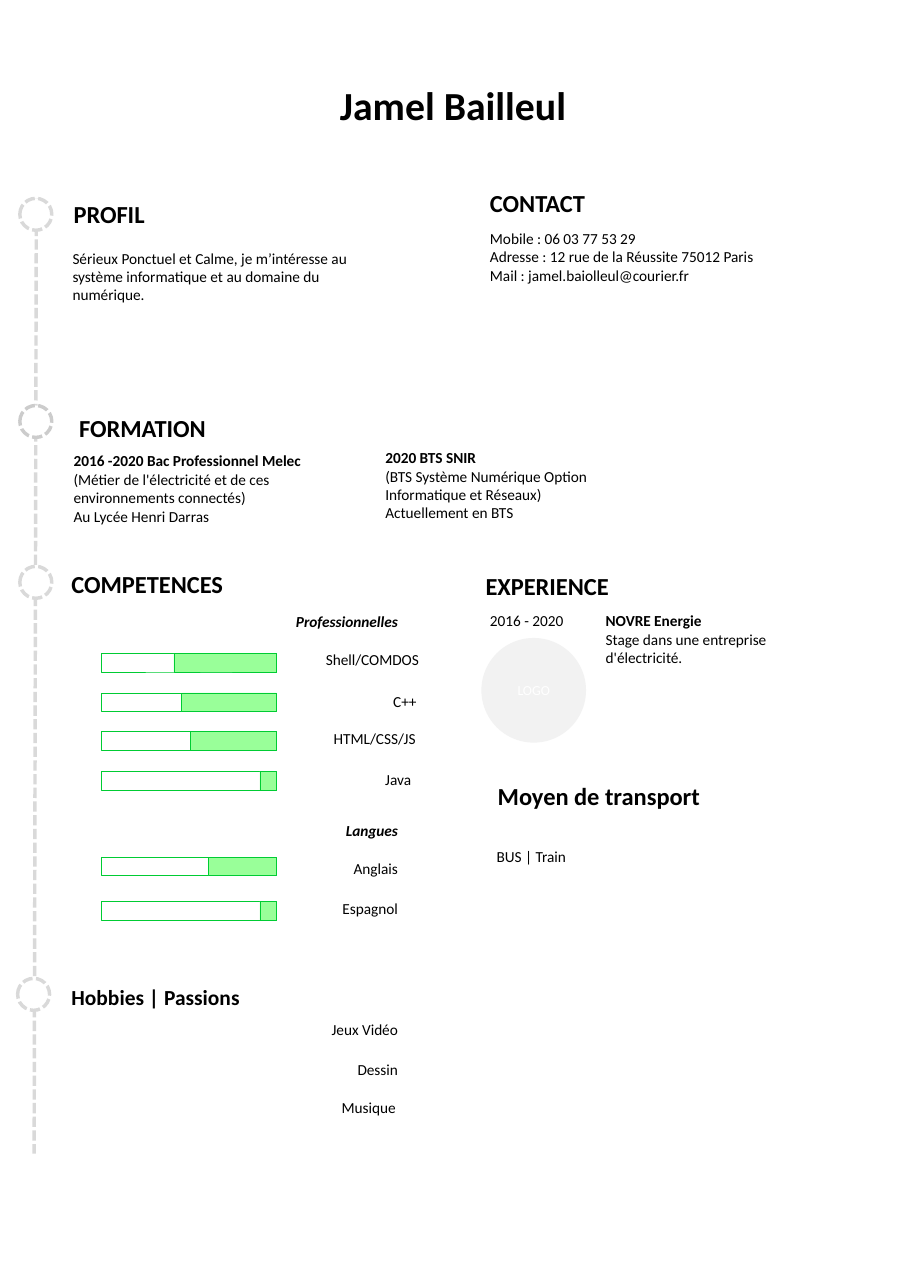
from pptx import Presentation
from pptx.dml.color import RGBColor
from pptx.enum.dml import MSO_LINE
from pptx.enum.shapes import MSO_CONNECTOR, MSO_SHAPE
from pptx.enum.text import MSO_ANCHOR, MSO_AUTO_SIZE, PP_ALIGN as AL
from pptx.oxml.ns import qn
from pptx.util import Inches, Pt
from lxml import etree

COLORS = {"text": "000000", "white": "FFFFFF", "rail": "D9D9D9", "ring": "CCCCCC",
          "badge": "F2F2F2", "bar": "99FF99", "edge": "00CC33"}


def rgb(name):
    return RGBColor.from_string(COLORS[name])


class Resume:
    font = "Calibri"
    small, body, heading = 9, 10, 16

    def __init__(self, slide):
        self.s = slide

    def text(self, x, y, w, h, lines, size=body, bold=False, italic=False,
             align=AL.LEFT, lead=False):
        """Text box; lead makes only the first paragraph bold."""
        sp = self.s.shapes.add_textbox(Inches(x), Inches(y), Inches(w), Inches(h))
        tf = sp.text_frame
        tf.text = "\n".join(lines)
        tf.word_wrap = True
        tf.auto_size = MSO_AUTO_SIZE.SHAPE_TO_FIT_TEXT
        for i, p in enumerate(tf.paragraphs):
            p.alignment = align
            for r in p.runs:
                self.style(r, size, "text", bold or (lead and i == 0), italic)
        return sp

    def style(self, r, size, color, bold=False, italic=False):
        r.font.name, r.font.size = self.font, Pt(size)
        r.font.bold, r.font.italic = bold, italic
        r.font.color.rgb = rgb(color)

    def title(self, x, y, w, h, name):
        tf = self.text(x, y, w, h, [name], 26, bold=True, align=AL.CENTER).text_frame
        tf.auto_size = MSO_AUTO_SIZE.NONE
        tf.vertical_anchor = MSO_ANCHOR.MIDDLE
        tf.paragraphs[0].line_spacing = Pt(60)

    def section(self, x, y, name):
        self.text(x, y, 2.4, 0.37, [name], self.heading, bold=True)

    def label(self, right, y, name, w=1.22, **style):
        self.text(right - w, y, w, 0.27, [name], align=AL.RIGHT, **style)

    def shape(self, kind, x, y, w, h, fill=None, line=None, width=0.5):
        sp = self.s.shapes.add_shape(kind, Inches(x), Inches(y), Inches(w), Inches(h))
        sp.shadow.inherit = False
        if fill:
            sp.fill.solid()
            sp.fill.fore_color.rgb = rgb(fill)
        else:
            sp.fill.background()
        if line:
            sp.line.color.rgb = rgb(line)
            sp.line.width = Pt(width)
        else:
            sp.line.fill.background()
        return sp

    def bar(self, y, level):
        left, width, height = 0.92, 1.59, 0.17
        self.shape(MSO_SHAPE.RECTANGLE, left, y, width, height, line="edge")
        self.shape(MSO_SHAPE.RECTANGLE, left + width - level, y, level, height, "bar", "edge")

    def ring(self, x, y, color):
        sp = self.shape(MSO_SHAPE.OVAL, x, y, 0.29, 0.29, "white", color, 2.25)
        sp.line.dash_style = MSO_LINE.SQUARE_DOT

    def rail(self, x1, y1, x2, y2):
        c = self.s.shapes.add_connector(MSO_CONNECTOR.STRAIGHT, Inches(x1), Inches(y1),
                                        Inches(x2), Inches(y2))
        c.line.color.rgb = rgb("rail")
        c.line.width = Pt(2.25)
        c.line.dash_style = MSO_LINE.SQUARE_DOT
        etree.SubElement(c._element.spPr, qn("a:effectLst"))

    def badge(self, x, y, size, name):
        sp = self.shape(MSO_SHAPE.OVAL, x, y, size, size, "badge")
        tf = sp.text_frame
        tf.text = name
        tf.vertical_anchor = MSO_ANCHOR.MIDDLE
        p = tf.paragraphs[0]
        p.alignment = AL.CENTER
        self.style(p.runs[0], self.small, "white")


def main():
    prs = Presentation()
    prs.slide_width, prs.slide_height = Inches(8.27), Inches(11.69)
    cv = Resume(prs.slides.add_slide(prs.slide_layouts[6]))

    # Timeline
    cv.rail(0.33, 1.8, 0.31, 10.47)
    for x, y, color in [(0.18, 1.8, "rail"), (0.18, 3.68, "ring"),
                        (0.18, 5.14, "rail"), (0.16, 8.88, "rail")]:
        cv.ring(x, y, color)

    # Section headings
    for x, y, name in [(0.57, 1.76, "PROFIL"), (4.35, 1.66, "CONTACT"),
                       (0.62, 3.7, "FORMATION"), (0.55, 5.12, "COMPETENCES"),
                       (4.31, 5.13, "EXPERIENCE"), (4.42, 7.04, "Moyen de transport")]:
        cv.section(x, y, name)

    # Name, profile and contact
    cv.title(0.33, 0.39, 7.57, 0.72, "Jamel Bailleul")
    cv.text(0.56, 2.21, 2.99, 0.6, ["Sérieux Ponctuel et Calme, je m’intéresse au système "
                                    "informatique et au domaine du numérique."])
    cv.text(4.35, 2.03, 3.16, 0.6, ["Mobile : 06 03 77 53 29",
                                    "Adresse : 12 rue de la Réussite 75012 Paris",
                                    "Mail : jamel.baiolleul@courier.fr"])

    # Education
    cv.text(0.57, 4.05, 2.74, 0.77, ["2016 -2020 Bac Professionnel Melec",
                                     "(Métier de l'électricité et de ces environnements connectés)",
                                     "Au Lycée Henri Darras"], lead=True)
    cv.text(3.4, 4.02, 2.74, 0.77, ["2020 BTS SNIR",
                                    "(BTS Système Numérique Option Informatique et Réseaux)",
                                    "Actuellement en BTS"], lead=True)

    # Skills: label, label right edge, label top, bar top, bar level
    for y, name in [(5.51, "Professionnelles"), (7.4, "Langues")]:
        cv.label(3.71, y, name, w=3.12, bold=True, italic=True)
    for name, right, y, bar_y, level in [
            ("Shell/COMDOS", 3.9, 5.85, 5.93, 0.93),
            ("C++", 3.88, 6.23, 6.29, 0.86),
            ("HTML/CSS/JS", 3.87, 6.57, 6.64, 0.78),
            ("Java", 3.83, 6.94, 7, 0.15),
            ("Anglais", 3.71, 7.75, 7.78, 0.62),
            ("Espagnol", 3.71, 8.11, 8.18, 0.15)]:
        cv.label(right, y, name)
        cv.bar(bar_y, level)

    # Hobbies
    cv.text(0.55, 8.88, 3.12, 0.33, ["Hobbies | Passions"], 14, bold=True)
    for name, right, y in [("Jeux Vidéo", 3.71, 9.21), ("Dessin", 3.71, 9.57),
                           ("Musique", 3.69, 9.92)]:
        cv.label(right, y, name)

    # Experience
    cv.text(4.35, 5.5, 1.16, 0.27, ["2016 - 2020"])
    cv.text(5.4, 5.5, 2.32, 0.6, ["NOVRE Energie",
                                  "Stage dans une entreprise d'électricité."], lead=True)
    cv.badge(4.37, 5.79, 0.95, "LOGO")

    # Transport
    cv.text(4.41, 7.64, 2.32, 0.27, ["BUS | Train"])

    prs.save("out.pptx")


if __name__ == "__main__":
    main()
